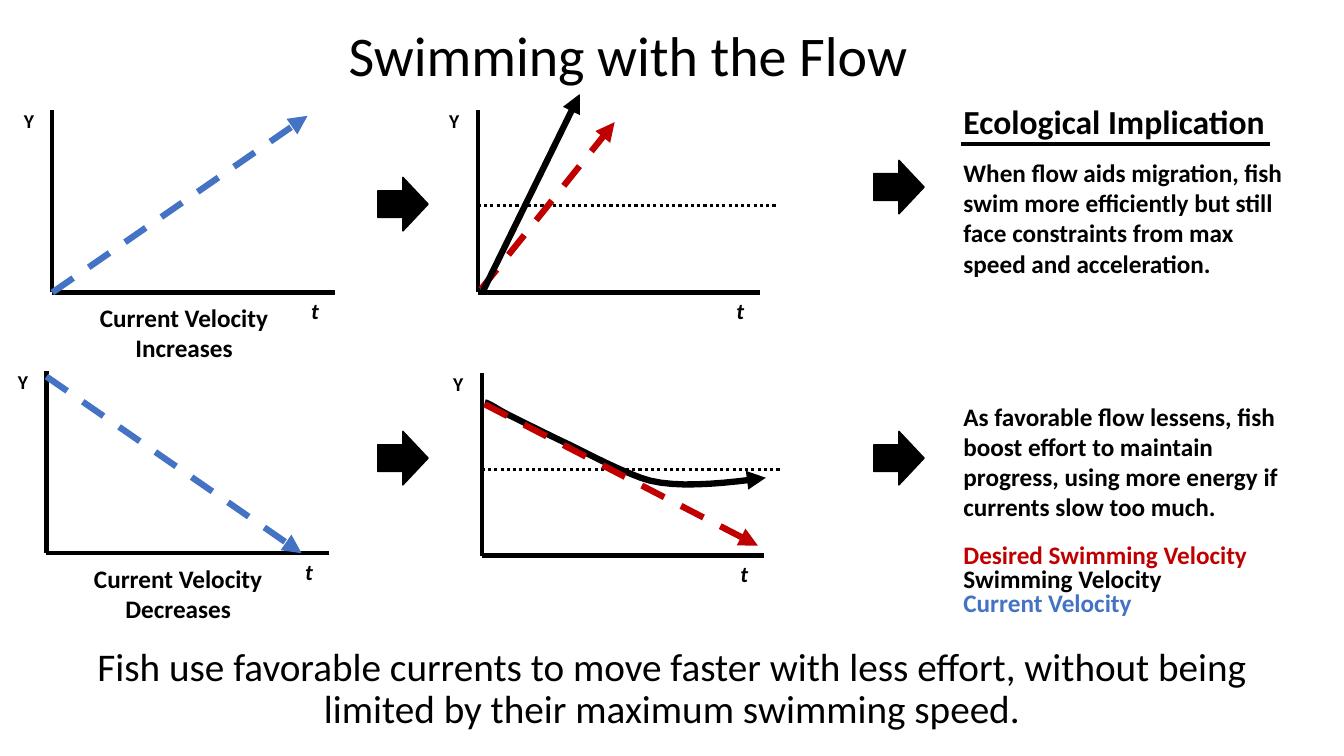
from dataclasses import dataclass

from pptx import Presentation
from pptx.dml.color import RGBColor as Rgb
from pptx.enum.dml import MSO_LINE as Dash
from pptx.enum.shapes import MSO_CONNECTOR as Connector, MSO_SHAPE as Preset
from pptx.enum.text import MSO_ANCHOR as Anchor, PP_ALIGN as Align
from pptx.oxml.ns import qn
from pptx.util import Cm, Pt
from lxml.etree import SubElement


@dataclass(frozen=True)
class Theme:
    font: str = "Calibri"
    black: Rgb = Rgb(0x00, 0x00, 0x00)
    desired: Rgb = Rgb(0xC0, 0x00, 0x00)
    current: Rgb = Rgb(0x44, 0x72, 0xC4)
    title: int = 40
    conclusion: int = 28
    heading: int = 24
    body: int = 18
    time_label: int = 16
    y_label: int = 14
    axis_line: float = 3
    thin_line: float = 2.25
    trend_line: float = 4.5


@dataclass(frozen=True)
class Box:
    """A region of the slide, in centimetres."""
    left: float
    top: float
    width: float
    height: float

    @property
    def bottom(self):
        return self.top + self.height

    def lengths(self):
        return [Cm(v) for v in (self.left, self.top, self.width, self.height)]


THEME = Theme()


# Basic parts
def add_text(page, box, lines, size, color=THEME.black, bold=True, italic=False,
             align=Align.LEFT, anchor=Anchor.TOP, wrap=True, spacing=1.0):
    frame = page.shapes.add_textbox(*box.lengths()).text_frame
    frame.word_wrap = wrap
    frame.vertical_anchor = anchor
    for index, line in enumerate(lines):
        para = frame.paragraphs[0] if index == 0 else frame.add_paragraph()
        para.text = line
        para.alignment = align
        para.line_spacing = spacing
        font = para.font
        font.name, font.size = THEME.font, Pt(size)
        font.bold, font.italic = bold, italic
        font.color.rgb = color


def style_line(shape, color, weight, dash=None, arrow=False):
    line = shape.line
    line.color.rgb = color
    line.width = Pt(weight)
    if dash:
        line.dash_style = dash
    if arrow:
        SubElement(line._get_or_add_ln(), qn("a:tailEnd"), type="triangle")


def add_line(page, start, end, color, weight, dash=None, arrow=False):
    line = page.shapes.add_connector(
        Connector.STRAIGHT, *[Cm(v) for v in (*start, *end)])
    style_line(line, color, weight, dash, arrow)
    SubElement(line._element.spPr, qn("a:effectLst"))


def curve_points(start, segments, steps=10):
    """Points along a chain of cubic Bezier segments."""
    points = [start]
    for first, second, end in segments:
        for step in range(1, steps + 1):
            t = step / steps
            weights = ((1 - t) ** 3, 3 * t * (1 - t) ** 2, 3 * t * t * (1 - t), t ** 3)
            corners = (start, first, second, end)
            points.append(tuple(sum(w * corner[axis] for w, corner in zip(weights, corners))
                                for axis in (0, 1)))
        start = end
    return points


# Graphs: trend coordinates run right and up from the origin
def at_origin(box, point):
    return box.left + point[0], box.bottom - point[1]


def add_axes(page, box):
    for end in ((0, box.height), (box.width, 0)):
        add_line(page, at_origin(box, (0, 0)), at_origin(box, end),
                 THEME.black, THEME.axis_line)
    add_text(page, Box(box.left + 6.27, box.bottom, 0.71, 0.94), ["t"],
             THEME.time_label, italic=True, wrap=False)
    add_text(page, Box(box.left - 0.97, box.top - 0.15, 1.63, 1.14), ["Y"],
             THEME.y_label, wrap=False)


def add_trend(page, box, start, end, color, dash=Dash.DASH):
    add_line(page, at_origin(box, start), at_origin(box, end),
             color, THEME.trend_line, dash, arrow=True)


def add_current_graph(page, box, change, start, end):
    add_text(page, Box(box.left - 2.18, box.bottom + 0.13, 11, 1.8),
             ["Current Velocity", change], THEME.body, align=Align.CENTER)
    add_axes(page, box)
    add_trend(page, box, start, end, THEME.current)


def add_swimming_axes(page, box):
    limit = 2.18
    add_line(page, at_origin(box, (0, limit)), at_origin(box, (7.57, limit)),
             THEME.black, THEME.thin_line, Dash.ROUND_DOT)
    add_axes(page, box)


def add_faster_graph(page, box):
    add_swimming_axes(page, box)
    add_trend(page, box, (0.08, 0.08), (3.45, 4.29), THEME.desired)
    add_trend(page, box, (0.13, 0.03), (2.57, 5), THEME.black, dash=None)


def add_slower_graph(page, box):
    add_swimming_axes(page, box)
    curve = curve_points((0.08, 3.86), [
        ((0.2, 3.84), (0.43, 3.66), (0.81, 3.48)),
        ((1.17, 3.3), (1.73, 3.02), (2.26, 2.77)),
        ((2.79, 2.51), (3.28, 2.24), (4.01, 1.96)),
        ((4.75, 1.68), (5.99, 1.8), (7.16, 1.96))])
    start, *rest = [tuple(Cm(v) for v in at_origin(box, point)) for point in curve]
    builder = page.shapes.build_freeform(*start)
    builder.add_line_segments(rest, close=False)
    swimming = builder.convert_to_shape()
    swimming.shadow.inherit = False
    swimming.fill.background()
    style_line(swimming, THEME.black, THEME.trend_line, arrow=True)
    add_trend(page, box, (0.08, 3.81), (6.96, 0.25), THEME.desired)


# Block arrows between the columns
def add_block_arrow(page, box):
    arrow = page.shapes.add_shape(Preset.RIGHT_ARROW, *box.lengths())
    arrow.shadow.inherit = False
    arrow.fill.solid()
    arrow.fill.fore_color.rgb = THEME.black
    style_line(arrow, THEME.black, 1)


# Right column: heading, implications and legend
def add_implications(page, box):
    add_text(page, Box(box.left, box.top, box.width, 1.27),
             ["Ecological Implication"], THEME.heading)
    rule = box.top + 1.22
    add_line(page, (box.left + 0.2, rule), (box.left + 7.97, rule),
             THEME.black, THEME.thin_line)
    for offset, text in (
            (1.43, "When flow aids migration, fish swim more efficiently but still "
                   "face constraints from max speed and acceleration."),
            (7.57, "As favorable flow lessens, fish boost effort to maintain "
                   "progress, using more energy if currents slow too much.")):
        add_text(page, Box(box.left, box.top + offset, box.width, 3.33),
                 [text], THEME.body)


def add_legend(page, box):
    entries = (("Desired Swimming Velocity", THEME.desired),
               ("Swimming Velocity", THEME.black),
               ("Current Velocity", THEME.current))
    step = box.height / len(entries)
    for index, (name, color) in enumerate(entries):
        add_text(page, Box(box.left, box.top + index * step, box.width, 1.02),
                 [name], THEME.body, color)


def add_statement(page, box, text, size):
    add_text(page, box, [text], size, bold=False, align=Align.CENTER,
             anchor=Anchor.MIDDLE, spacing=0.9)


def main():
    deck = Presentation()
    deck.slide_width, deck.slide_height = Cm(33.87), Cm(19.05)
    page = deck.slides.add_slide(deck.slide_layouts[6])

    add_statement(page, Box(1.22, -0.38, 29.21, 3.68),
                  "Swimming with the Flow", THEME.title)
    add_statement(page, Box(0.89, 15.54, 32.08, 3.68),
                  "Fish use favorable currents to move faster with less effort, "
                  "without being limited by their maximum swimming speed.",
                  THEME.conclusion)

    graph_size = (7.11, 4.6)
    add_current_graph(page, Box(1.32, 2.77, *graph_size), "Increases", (0, 0), (6.43, 4.45))
    add_current_graph(page, Box(1.17, 9.34, *graph_size), "Decreases", (0, 4.45), (6.43, 0))
    add_faster_graph(page, Box(12.04, 2.77, *graph_size))
    add_slower_graph(page, Box(12.14, 9.4, *graph_size))

    for left, top in ((9.52, 4.47), (22.02, 4.04), (9.52, 10.87), (22.02, 10.87)):
        add_block_arrow(page, Box(left, top, 1.27, 1.35))

    add_implications(page, Box(24.03, 2.41, 8.56, 10.9))
    add_legend(page, Box(24.03, 13.46, 8.56, 1.83))
    deck.save("out.pptx")


if __name__ == "__main__":
    main()
